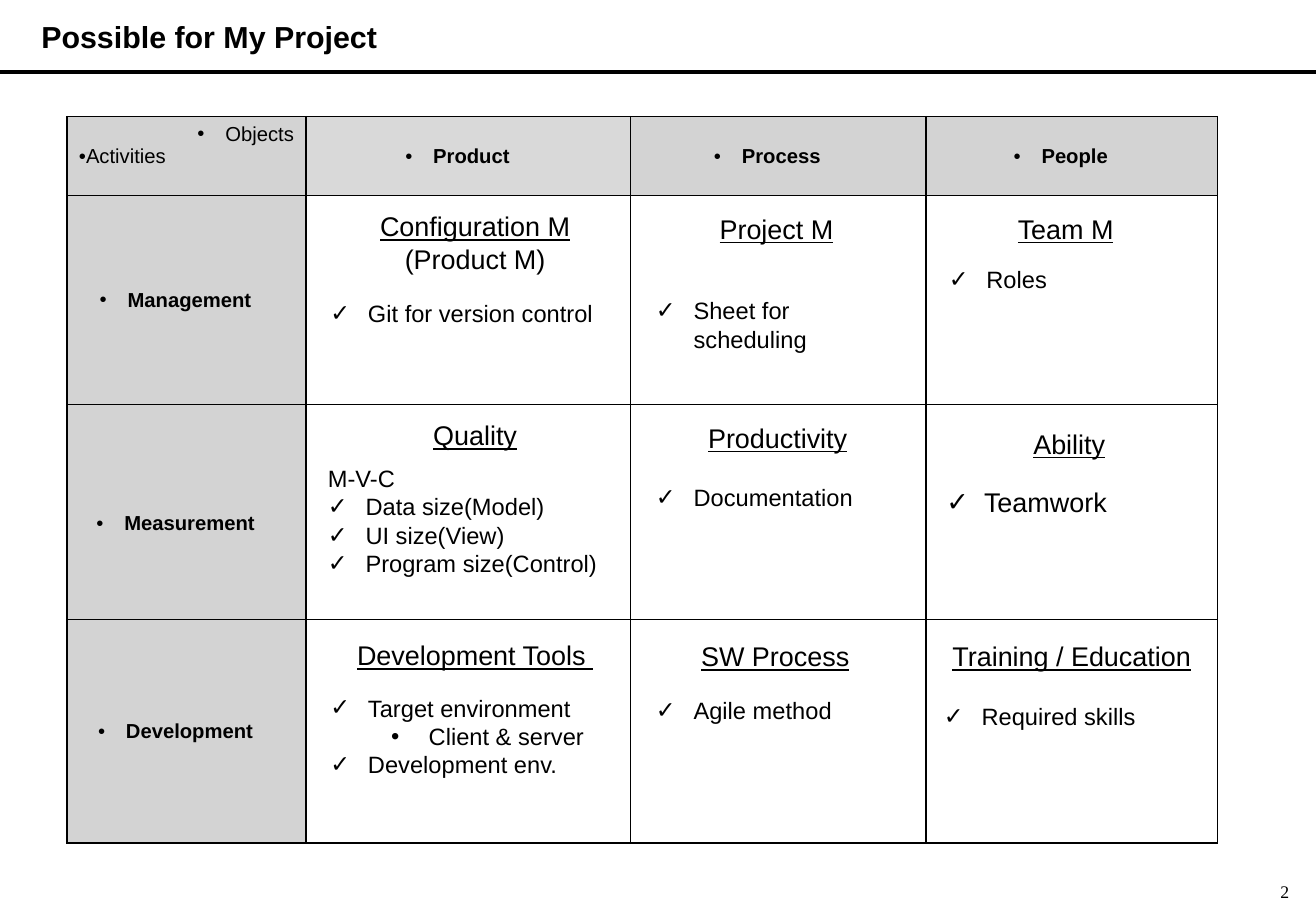
"""Build the project activity matrix slide."""
from lxml.etree import SubElement
from pptx import Presentation
from pptx.dml.color import RGBColor
from pptx.enum.text import MSO_ANCHOR, PP_ALIGN
from pptx.oxml import parse_xml
from pptx.oxml.ns import nsdecls, qn
from pptx.util import Inches, Pt

BLACK, GREY, LIGHT = "000000", "D3D3D3", "D9D9D9"
LEFT, CENTER, RIGHT = PP_ALIGN.LEFT, PP_ALIGN.CENTER, PP_ALIGN.RIGHT

TITLE = "Possible for My Project"
PAGE = "2"
OBJECTS = ["Product", "Process", "People"]
ACTIVITIES = ["Management", "Measurement", "Development"]
COLS = [1.97, 2.67, 2.43, 2.4]
ROWS = [0.65, 1.72, 1.77, 1.84]

TICK = dict(bullet="✓", margin=0.31, hang=0.31)
DOT = dict(bullet="•", margin=0.81, hang=0.31, level=1)
LABEL = dict(bullet="•", margin=0.23, hang=0.23)
HEADER = dict(LABEL, size=12, bold=True, align=CENTER, right=0.18)
PLAIN = {}

HEADINGS = [
    (2.62, 1.68, 2.58, 0.64, [("Configuration M", PLAIN), ("(Product M)", dict(underline=False))]),
    (5.2, 1.7, 2.38, 0.37, [("Project M", PLAIN)]),
    (7.64, 1.7, 2.26, 0.37, [("Team M", PLAIN)]),
    (2.62, 3.4, 2.58, 0.37, [("Quality", PLAIN)]),
    (5.21, 3.42, 2.38, 0.37, [("Productivity", PLAIN)]),
    (7.67, 3.47, 2.26, 0.37, [("Ability", PLAIN)]),
    (2.62, 5.21, 2.58, 0.37, [("Development Tools ", PLAIN)]),
    (5.19, 5.22, 2.38, 0.37, [("SW Process", PLAIN)]),
    (7.69, 5.22, 2.26, 0.37, [("Training / Education", PLAIN)]),
]
DETAILS = [
    (2.62, 2.41, 2.58, 0.34, [("Git for version control", TICK)]),
    (5.3, 2.39, 2.24, 0.57, [("Sheet for scheduling", TICK)]),
    (7.71, 2.13, 2.26, 0.34, [("Roles", TICK)]),
    (2.6, 3.77, 2.54, 1.28, [("M-V-C", PLAIN), ("Data size(Model)", TICK),
                             ("UI size(View)", TICK), ("Program size(Control)", TICK)]),
    (5.3, 3.93, 2.24, 0.34, [("Documentation", TICK)]),
    (7.69, 3.95, 2.26, 0.37, [("Teamwork", dict(TICK, size=16))]),
    (2.62, 5.66, 2.58, 0.81, [("Target environment", TICK), ("Client & server", DOT),
                              ("Development env.", TICK)]),
    (5.3, 5.68, 2.24, 0.34, [("Agile method", TICK)]),
    (7.67, 5.73, 2.24, 0.34, [("Required skills", TICK)]),
]


def rgb(color):
    return RGBColor.from_string(color)


def write(p, text, size=14, font="Arial", bold=False, underline=False, align=LEFT,
          bullet=None, margin=0, hang=0, right=0, level=0, spacing=None):
    p.alignment, p.level, p.line_spacing = align, level, spacing
    pPr = p._p.get_or_add_pPr()
    for name, value in (("marL", margin), ("indent", -hang), ("marR", right)):
        pPr.set(name, str(Inches(value)))
    if bullet:
        SubElement(pPr, qn("a:buFont")).set("typeface", font)
        SubElement(pPr, qn("a:buChar")).set("char", bullet)
    r = p.add_run()
    r.text = text
    r.font.size, r.font.name = Pt(size), font
    r.font.bold, r.font.underline = bold, underline
    r.font.color.rgb = rgb(BLACK)


def write_lines(tf, lines, **base):
    for i, (text, extra) in enumerate(lines):
        p = tf.add_paragraph() if i else tf.paragraphs[0]
        write(p, text, **{**base, **extra})


def add_box(s, x, y, w, h, lines, wrap=True, **base):
    tf = s.shapes.add_textbox(Inches(x), Inches(y), Inches(w), Inches(h)).text_frame
    tf.word_wrap = wrap
    write_lines(tf, lines, **base)
    return tf


def set_insets(tf, side):
    tf.margin_left = tf.margin_right = Inches(side)
    tf.margin_top = tf.margin_bottom = 0


def add_borders(cell):
    tcPr = cell._tc.get_or_add_tcPr()
    for i, side in enumerate("LRTB"):
        tcPr.insert(i, parse_xml(
            f'<a:ln{side} {nsdecls("a")} w="{Pt(1)}"><a:solidFill>'
            f'<a:srgbClr val="{BLACK}"/></a:solidFill></a:ln{side}>'))


def add_matrix(s):
    table = s.shapes.add_table(len(ROWS), len(COLS), Inches(0.55), Inches(0.96),
                               Inches(sum(COLS)), Inches(sum(ROWS))).table
    table.first_row = table.horz_banding = False
    for column, width in zip(table.columns, COLS):
        column.width = Inches(width)
    for row, height in zip(table.rows, ROWS):
        row.height = Inches(height)
    for i in range(len(ROWS)):
        for j in range(len(COLS)):
            cell = table.cell(i, j)
            if i and j:
                cell.fill.background()
            else:
                cell.fill.solid()
                cell.fill.fore_color.rgb = rgb(LIGHT if j == 1 else GREY)
            add_borders(cell)
    write_lines(table.cell(0, 0).text_frame,
                [("Objects", dict(LABEL, align=RIGHT)), ("Activities", dict(bullet="•"))], size=12)
    labels = [(table.cell(0, j), text) for j, text in enumerate(OBJECTS, 1)]
    labels += [(table.cell(i, 0), text) for i, text in enumerate(ACTIVITIES, 1)]
    for cell, text in labels:
        cell.vertical_anchor = MSO_ANCHOR.MIDDLE
        write_lines(cell.text_frame, [(text, HEADER)])
    table.cell(2, 0).margin_top = Inches(0.24)


def main():
    prs = Presentation()
    prs.slide_width, prs.slide_height = Inches(10.83), Inches(7.5)
    s = prs.slides.add_slide(prs.slide_layouts[5])

    rule = s.shapes.add_connector(1, 0, Inches(0.59), prs.slide_width, Inches(0.59))
    rule.line.color.rgb = rgb(BLACK)
    rule.line.width = Pt(2.25)
    SubElement(rule._element.spPr, qn("a:effectLst"))

    title = s.shapes.title
    title.left, title.top = Inches(0.32), Inches(0.17)
    title.width, title.height = Inches(2.83), Inches(0.29)
    tf = title.text_frame
    tf.word_wrap, tf.vertical_anchor = False, MSO_ANCHOR.MIDDLE
    set_insets(tf, 0.02)
    write_lines(tf, [(TITLE, PLAIN)], size=18, bold=True, spacing=0.95)

    add_matrix(s)
    for box in HEADINGS:
        add_box(s, *box, size=16, underline=True, align=CENTER)
    for box in DETAILS:
        add_box(s, *box)
    page = add_box(s, 10.44, 7.25, 0.17, 0.18, [(PAGE, PLAIN)], wrap=False,
                   size=10.5, font="Times New Roman", align=RIGHT)
    set_insets(page, 0)
    prs.save("out.pptx")


if __name__ == "__main__":
    main()
